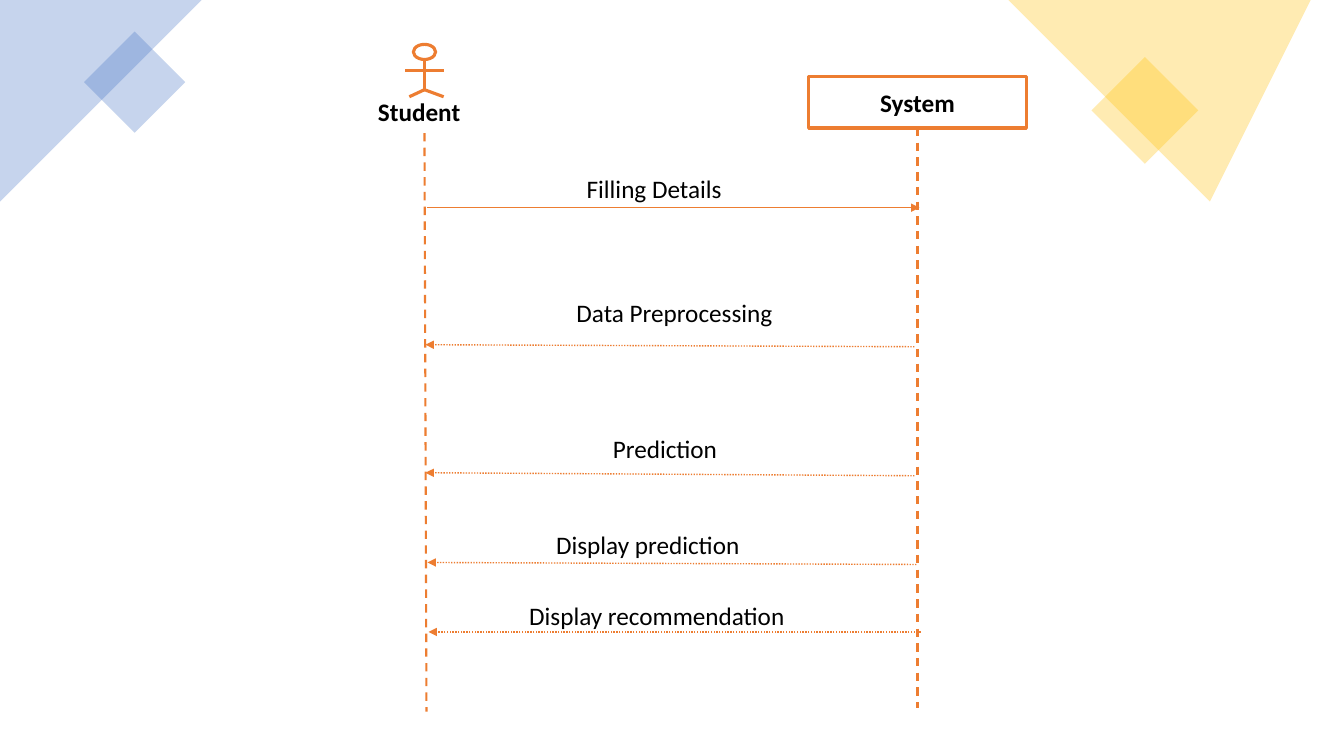
from dataclasses import dataclass
from lxml import etree
from pptx import Presentation
from pptx.dml.color import RGBColor
from pptx.enum import dml, shapes, text
from pptx.oxml.ns import qn
from pptx.util import Inches, Pt


@dataclass
class Theme:
    font: str = "Calibri"
    size: float = 18
    ink: str = "000000"
    paper: str = "FFFFFF"
    line: str = "ED7D31"
    blue: str = "4472C4"
    gold: str = "FFC000"
    alpha: int = 30
    thin: float = 1
    mid: float = 1.5
    bold: float = 2.25


def write(frame, words, theme, bold=False, align="CENTER", anchor="TOP"):
    frame.word_wrap = True
    frame.vertical_anchor = getattr(text.MSO_ANCHOR, anchor)
    para = frame.paragraphs[0]
    para.alignment = getattr(text.PP_ALIGN, align)
    run = para.add_run()
    run.text = words
    run.font.name = theme.font
    run.font.size = Pt(theme.size)
    run.font.bold = bold
    run.font.color.rgb = RGBColor.from_string(theme.ink)


class Board:
    def __init__(self, slide, theme):
        self.shapes = slide.shapes
        self.theme = theme

    def stroke(self, line, width):
        line.color.rgb = RGBColor.from_string(self.theme.line)
        line.width = Pt(width)

    def tint(self, shape, color):
        shape.shadow.inherit = False
        shape.line.fill.background()
        shape.fill.solid()
        shape.fill.fore_color.rgb = RGBColor.from_string(color)
        tone = shape.fill._xPr.find(".//" + qn("a:srgbClr"))
        etree.SubElement(tone, qn("a:alpha"), val=str(self.theme.alpha * 1000))

    def poly(self, points, color):
        build = self.shapes.build_freeform(*points[0], scale=Inches(1))
        build.add_line_segments(points[1:], close=True)
        self.tint(build.convert_to_shape(), color)

    def gem(self, x, y, side, color):
        shape = self.shapes.add_shape(
            shapes.MSO_SHAPE.RECTANGLE, *map(Inches, (x, y, side, side)))
        shape.rotation = 45
        self.tint(shape, color)

    def frame(self, kind, box, fill=None):
        shape = self.shapes.add_shape(kind, *map(Inches, box))
        shape.shadow.inherit = False
        if fill:
            shape.fill.solid()
            shape.fill.fore_color.rgb = RGBColor.from_string(fill)
        else:
            shape.fill.background()
        self.stroke(shape.line, self.theme.bold)
        return shape

    def label(self, words, box, **style):
        area = self.shapes.add_textbox(*map(Inches, box))
        write(area.text_frame, words, self.theme, **style)

    def link(self, start, end, width, dash=None, arrow=False):
        line = self.shapes.add_connector(
            shapes.MSO_CONNECTOR.STRAIGHT, *map(Inches, start + end))
        self.stroke(line.line, width)
        if dash:
            line.line.dash_style = dash
        if arrow:
            etree.SubElement(line.line._get_or_add_ln(), qn("a:tailEnd"), type="triangle")
        etree.SubElement(line._element.spPr, qn("a:effectLst"))
        return line


def main():
    deck = Presentation()
    deck.slide_width, deck.slide_height = Inches(13.33), Inches(7.5)
    theme = Theme()
    board = Board(deck.slides.add_slide(deck.slide_layouts[6]), theme)
    dash = dml.MSO_LINE.DASH
    dots = dml.MSO_LINE.ROUND_DOT

    board.poly([(0, 0), (1.53, 0), (1.83, 0.3), (0.41, 1.71), (0, 1.3)], theme.blue)
    board.gem(0.98, 0.46, 0.71, theme.blue)
    board.gem(10.98, 0.72, 0.75, theme.gold)
    board.poly([(10.23, 0), (13.33, 0), (13.33, 0.28), (11.93, 1.62)], theme.gold)

    system = board.frame(shapes.MSO_SHAPE.RECTANGLE, (8.02, 0.76, 2.16, 0.51), theme.paper)
    write(system.text_frame, "System", theme, bold=True, anchor="MIDDLE")
    life = board.link((9.1, 1.27), (9.1, 7.02), theme.mid, dash)
    life.begin_connect(system, 2)
    board.link((4.21, 1.32), (4.23, 7.06), theme.mid, dash)

    board.frame(shapes.MSO_SHAPE.OVAL, (4.1, 0.44, 0.22, 0.15))
    limbs = [
        ((4.21, 0.59), (4.21, 0.89)),
        ((4.02, 0.7), (4.4, 0.7)),
        ((4.06, 0.96), (4.21, 0.89)),
        ((4.21, 0.89), (4.4, 0.96)),
    ]
    for start, end in limbs:
        board.link(start, end, theme.bold)
    board.label("Student", (3.65, 0.91, 1.2, 0.41), bold=True, align="LEFT")

    calls = [
        ("Filling Details", 5.72, 1.67, 2.58, "LEFT", (4.24, 2.06), (9.12, 2.06), None),
        ("Data Preprocessing", 4.41, 2.9, 4.56, "CENTER", (9.07, 3.44), (4.22, 3.42), dots),
        ("Prediction", 4.15, 4.25, 4.89, "CENTER", (9.07, 4.72), (4.22, 4.69), dots),
        ("Display prediction", 2.03, 5.2, 8.79, "CENTER", (9.09, 5.6), (4.24, 5.58), dots),
        ("Display recommendation", 5.15, 5.91, 4.39, "LEFT", (9.13, 6.27), (4.25, 6.27), dots),
    ]
    for words, left, top, width, align, start, end, style in calls:
        board.link(start, end, theme.thin, style, arrow=True)
        board.label(words, (left, top, width, 0.42), align=align)

    deck.save("out.pptx")


if __name__ == "__main__":
    main()
